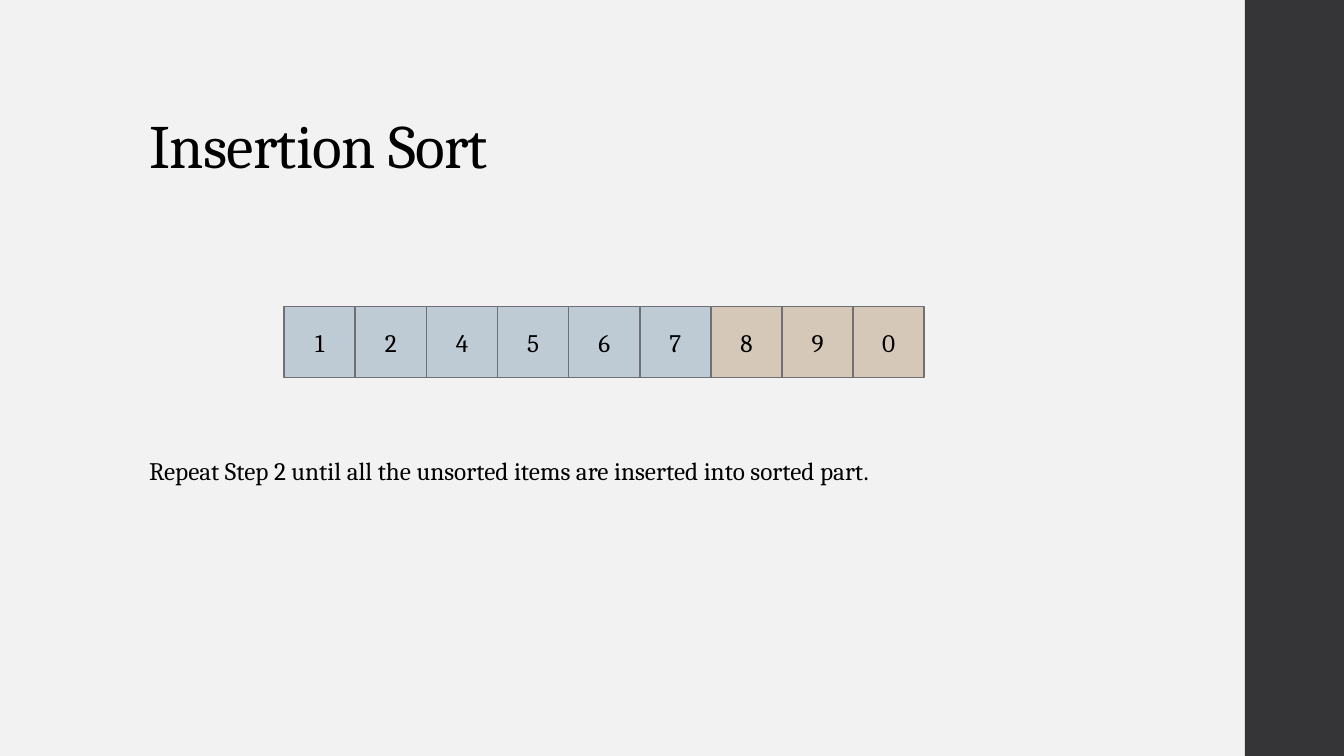
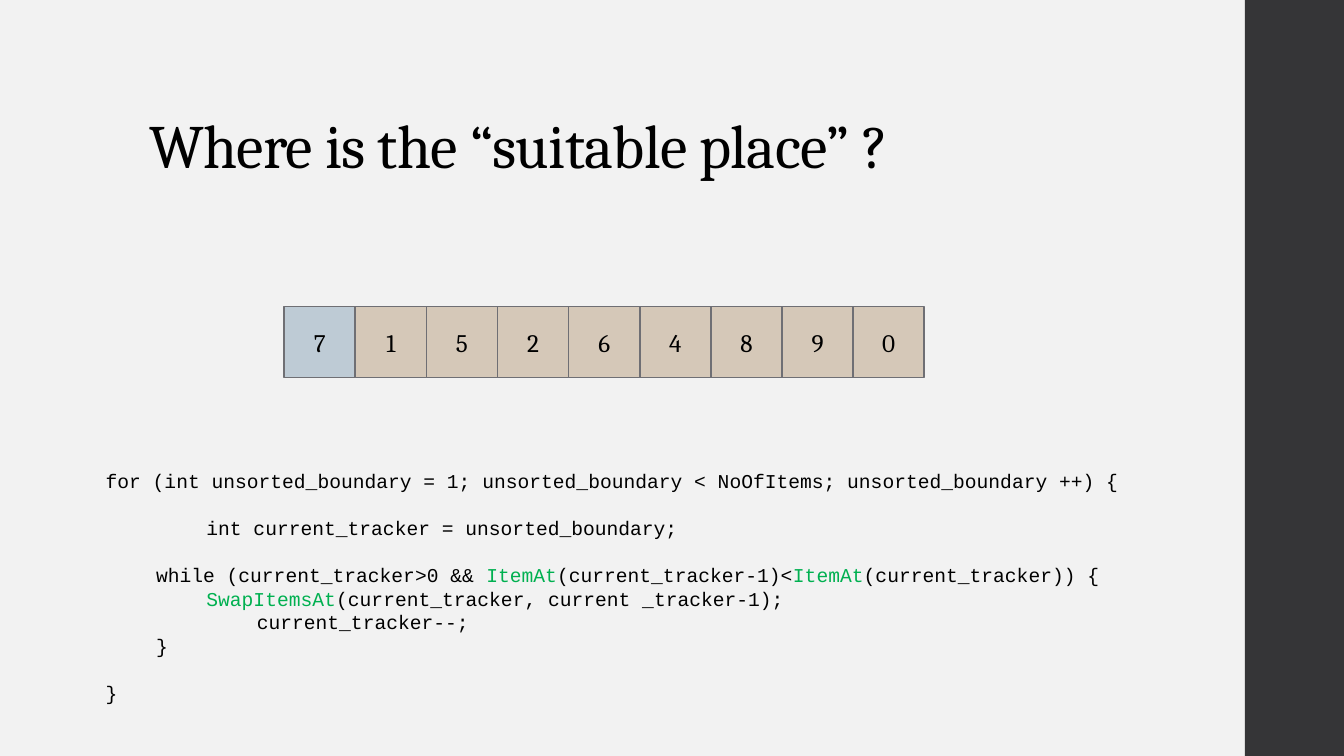
from pptx import Presentation
from pptx.dml.color import RGBColor
from pptx.enum.shapes import MSO_SHAPE
from pptx.enum.text import MSO_ANCHOR, MSO_AUTO_SIZE, PP_ALIGN
from pptx.util import Pt

WIDE, HIGH = 960, 540
BLACK, GREEN = "000000", "00B050"
PAPER, BAND = "F2F2F2", "353537"
DONE, TODO, EDGE = "BECBD5", "D5C8B8", "6F6F74"
SERIF, MONO = "Cambria", "Courier New"
LINE, STEP = 16.9, 36
ROW = (203, 219, 457.2, 50.8)

CODE = [
    (0, 0, [("for (int unsorted_boundary = 1; unsorted_boundary < NoOfItems; unsorted_boundary ++) {", BLACK)]),
    (2, 1, [("int current_tracker = unsorted_boundary;", BLACK)]),
    (1, 1, [("while (current_tracker>0 && ", BLACK), ("ItemAt", GREEN),
            ("(current_tracker-1)<", BLACK), ("ItemAt", GREEN),
            ("(current_tracker)) {", BLACK)]),
    (2, 0, [("SwapItemsAt", GREEN), ("(current_tracker, current _tracker-1);", BLACK)]),
    (3, 0, [("current_tracker--;", BLACK)]),
    (1, 0, [("}", BLACK)]),
    (0, 1, [("}", BLACK)]),
]


def tint(spot, hue):
    """Give a fill, line or font one hex colour."""
    if hasattr(spot, "solid"):
        spot.solid()
        spot.fore_color.rgb = RGBColor.from_string(hue)
    else:
        spot.color.rgb = RGBColor.from_string(hue)


def write(para, text, size, face=SERIF, hue=BLACK):
    """Add one styled run to a paragraph."""
    run = para.add_run()
    run.text = text
    run.font.size = Pt(size)
    run.font.name = face
    tint(run.font, hue)
    return run


def block(slide, box, hue):
    """Draw a plain rectangle without line or shadow."""
    shape = slide.shapes.add_shape(MSO_SHAPE.RECTANGLE, *map(Pt, box))
    shape.shadow.inherit = False
    tint(shape.fill, hue)
    shape.line.fill.background()
    return shape


def frame(slide, box):
    """Place a wrapping text box and return its frame."""
    text = slide.shapes.add_textbox(*map(Pt, box)).text_frame
    text.word_wrap = True
    return text


def setup(deck):
    """Give the title layout its paper, side band and title place."""
    deck.slide_width, deck.slide_height = Pt(WIDE), Pt(HIGH)
    tint(deck.slide_master.background.fill, PAPER)
    base = deck.slide_layouts[5]
    title = base.placeholders[0]
    title.left, title.top, title.width, title.height = map(Pt, (99.4, 28.8, 763.2, 104.4))
    return base


def start(deck, base, name):
    """Add a slide with its title."""
    slide = deck.slides.add_slide(base)
    text = slide.shapes.title.text_frame
    text.vertical_anchor = MSO_ANCHOR.BOTTOM
    text.auto_size = MSO_AUTO_SIZE.NONE
    para = text.paragraphs[0]
    para.alignment = PP_ALIGN.LEFT
    para.line_spacing = 0.9
    run = write(para, name, 44)
    run.font.element.set("spc", "-50") if hasattr(run.font, "element") else run._r.get_or_add_rPr().set("spc", "-50")
    return slide


def band(slide, base):
    """Draw the side band once and move it to the layout."""
    shape = block(slide, (889.2, 0, 72, HIGH), BAND)
    base.shapes.element.insert(2, shape.element)


def cells(slide, box, items, done):
    """Draw the array in a box, its first items marked as sorted."""
    left, top, wide, high = box
    side = wide / len(items)
    for spot, item in enumerate(items):
        cell = block(slide, (left + spot * side, top, side, high), DONE if spot < done else TODO)
        tint(cell.line, EDGE)
        cell.line.width = Pt(1.1)
        cell.text_frame.vertical_anchor = MSO_ANCHOR.MIDDLE
        para = cell.text_frame.paragraphs[0]
        para.alignment = PP_ALIGN.CENTER
        write(para, item, 18)


def note(slide, box, text):
    """Write one sentence in a box."""
    write(frame(slide, box).paragraphs[0], text, 18)


def code(slide, box, lines):
    """Write code lines with indent steps and gaps."""
    text = frame(slide, box)
    for spot, (depth, gap, parts) in enumerate(lines):
        para = text.add_paragraph() if spot else text.paragraphs[0]
        para.line_spacing = Pt(LINE)
        para.space_before = Pt(gap * LINE)
        props = para._p.get_or_add_pPr()
        props.set("marL", str(Pt(28.8 + depth * STEP)))
        props.set("indent", "0")
        for part, hue in parts:
            write(para, part, 14, MONO, hue)


def main():
    """Build and save both slides."""
    deck = Presentation()
    base = setup(deck)

    slide = start(deck, base, "Insertion Sort")
    band(slide, base)
    cells(slide, ROW, "124567890", 6)
    note(slide, (99.4, 321.8, 743, 72.7),
         "Repeat Step 2 until all the unsorted items are inserted into sorted part.")

    slide = start(deck, base, "Where is the “suitable place” ?")
    code(slide, (39.6, 331, 823.7, 177.1), CODE)
    cells(slide, ROW, "715264890", 1)

    deck.save("out.pptx")


if __name__ == "__main__":
    main()
